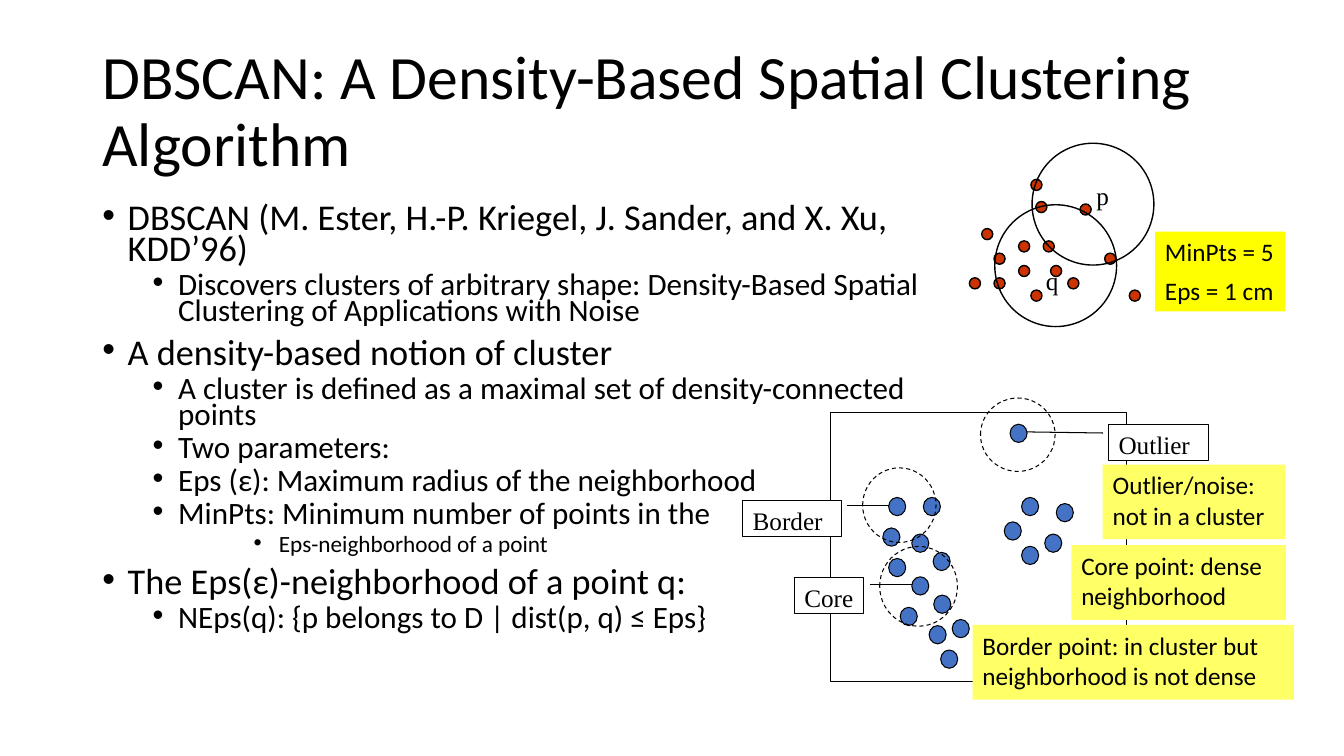
"""Build the DBSCAN slide with its outline and two point diagrams."""
from dataclasses import dataclass
from typing import Any

from lxml import etree
from pptx import Presentation
from pptx.dml.color import RGBColor
from pptx.enum.dml import MSO_LINE
from pptx.enum.shapes import MSO_SHAPE
from pptx.enum.text import MSO_ANCHOR, PP_ALIGN
from pptx.oxml.ns import qn
from pptx.util import Cm, Pt

OVAL = MSO_SHAPE.OVAL
RECT = MSO_SHAPE.RECTANGLE
CALL = MSO_SHAPE.LINE_CALLOUT_1
DASH = MSO_LINE.DASH
TOP, MID = MSO_ANCHOR.TOP, MSO_ANCHOR.MIDDLE
LEFT = PP_ALIGN.LEFT
SANS, SERIF = "Calibri", "Times New Roman"
BLACK, WHITE, RED, BLUE = "000000", "FFFFFF", "CC3300", "4472C4"
YELLOW, PALE = "FFFF00", "FFFF66"


@dataclass
class Box:
    x: float
    y: float
    w: float
    h: float


@dataclass
class Item:
    level: int
    text: str


@dataclass
class Label:
    box: Box
    lines: list[str]
    fill: str
    face: str = SANS
    tail: tuple[float, ...] = ()


@dataclass
class Cloud:
    x: float
    y: float
    dx: float
    dy: float
    w: float
    h: float
    fill: str
    line: float
    spots: list[tuple[float, float]]


@dataclass
class Ring:
    box: Box
    line: float
    dash: Any = None
    kind: Any = OVAL


SIZES = {0: 25.9, 1: 22.2, 3: 16.6}
ITEMS = [
    Item(0, "DBSCAN (M. Ester, H.-P. Kriegel, J. Sander, and X. Xu, KDD’96)"),
    Item(1, "Discovers clusters of arbitrary shape: Density-Based Spatial "
            "Clustering of Applications with Noise"),
    Item(0, "A density-based notion of cluster"),
    Item(1, "A cluster is defined as a maximal set of density-connected points"),
    Item(1, "Two parameters:"),
    Item(1, "Eps (ε): Maximum radius of the neighborhood"),
    Item(1, "MinPts: Minimum number of points in the"),
    Item(3, "Eps-neighborhood of a point"),
    Item(0, "The Eps(ε)-neighborhood of a point q:"),
    Item(1, "NEps(q): {p belongs to D | dist(p, q) ≤ Eps}"),
]
CLOUDS = [
    Cloud(24.43, 4.52, 0.31, 0.31, 0.28, 0.28, RED, 1, [
        (1, 4), (4, 5), (5.4, 1.8), (0, 8), (2, 6), (2, 8), (5, 9), (5, 0),
        (11, 6), (9, 2), (4, 7), (6, 5), (8, 8), (13, 9), (6.6, 7)]),
    Cloud(22.25, 10.69, 4.37 / 30, 5.69 / 37, 0.43, 0.46, BLUE, 0.75, [
        (1, 12), (0, 17), (5, 18), (7, 12), (8.7, 21), (1, 22), (5, 25),
        (3, 30), (8, 33), (10, 37), (8.8, 28), (22, 0), (24, 12), (21, 16),
        (28, 18), (30, 13), (24, 20), (12, 32)]),
]
RINGS = [
    Ring(Box(26.01, 3.61, 3.07, 3.07), 1),
    Ring(Box(25.07, 5.16, 3.07, 3.07), 1),
    Ring(Box(20.93, 10.39, 7.47, 6.78), 0.75, kind=RECT),
    Ring(Box(21.74, 11.79, 1.85, 1.88), 0.75, DASH),
    Ring(Box(22.17, 13.77, 1.96, 2.01), 0.75, DASH),
    Ring(Box(24.71, 10.03, 1.88, 1.85), 0.75, DASH),
]
LABELS = [
    Label(Box(29.11, 5.84, 3.28, 2.01), ["MinPts = 5", "Eps = 1 cm"], YELLOW),
    Label(Box(27.38, 4.42, 1.07, 1.02), ["p"], "", SERIF),
    Label(Box(26.11, 6.55, 1.07, 1.02), ["q"], "", SERIF),
    Label(Box(20.02, 14.55, 1.75, 0.91), ["Core"], WHITE, SERIF,
          (0.188, 1.083, 0.188, 1.688)),
    Label(Box(18.72, 12.62, 2.49, 0.91), ["Border"], WHITE, SERIF,
          (0.145, 1.059, 0.145, 1.485)),
    Label(Box(27.94, 10.69, 2.51, 0.91), ["Outlier"], WHITE, SERIF,
          (0.245, -0.058, 0.214, -0.828)),
    Label(Box(24.51, 15.75, 8.1, 1.88),
          ["Border point: in cluster but neighborhood is not dense"], PALE),
    Label(Box(27.79, 11.71, 4.6, 1.88), ["Outlier/noise: not in a cluster"], PALE),
    Label(Box(27, 13.74, 5.41, 1.88), ["Core point: dense neighborhood"], PALE),
]


def tint(code: str) -> RGBColor:
    return RGBColor.from_string(code)


def apply(part: Any, form: dict[str, Any]) -> None:
    for name, value in form.items():
        setattr(part, name, value)


def place(box: Box) -> tuple[Cm, ...]:
    return tuple(Cm(n) for n in (box.x, box.y, box.w, box.h))


def shape(slide: Any, kind: Any, box: Box, fill: str, line: float,
          dash: Any = None) -> Any:
    item = slide.shapes.add_shape(kind, *place(box))
    item.shadow.inherit = False
    if fill:
        item.fill.solid()
        item.fill.fore_color.rgb = tint(fill)
    else:
        item.fill.background()
    if line:
        item.line.color.rgb = tint(BLACK)
        apply(item.line, {"width": Pt(line), "dash_style": dash})
    else:
        item.line.fill.background()
    return item


def write(para: Any, text: str, size: float, face: str, form: dict[str, Any]) -> None:
    apply(para, {"alignment": LEFT, **form})
    run = para.add_run()
    run.text = text
    apply(run.font, {"size": Pt(size), "name": face})
    run.font.color.rgb = tint(BLACK)


def frame(item: Any, anchor: Any) -> Any:
    body = item.text_frame
    apply(body, {"word_wrap": True, "vertical_anchor": anchor})
    return body


def paras(body: Any, count: int) -> list[Any]:
    return [body.paragraphs[0]] + [body.add_paragraph() for _ in range(count - 1)]


def bullet(para: Any, level: int) -> None:
    props = para._p.get_or_add_pPr()
    props.set("marL", str(Cm(0.64 + 1.27 * level)))
    props.set("indent", str(Cm(-0.64)))
    etree.SubElement(props, qn("a:buFont")).set("typeface", "Arial")
    etree.SubElement(props, qn("a:buChar")).set("char", "•")


def outline(slide: Any) -> None:
    body = frame(slide.shapes.add_textbox(*place(Box(2.33, 5.08, 22.66, 12.09))), TOP)
    for i, (para, item) in enumerate(zip(paras(body, len(ITEMS)), ITEMS)):
        bullet(para, item.level)
        gap = 0 if i == 0 else 5 if item.level else 10
        write(para, item.text, SIZES[item.level], SANS,
              {"level": item.level, "line_spacing": 0.7, "space_before": Pt(gap)})


def label(slide: Any, note: Label) -> None:
    if note.fill:
        item = shape(slide, CALL if note.tail else RECT, note.box, note.fill,
                     0.75 if note.tail else 0)
    else:
        item = slide.shapes.add_textbox(*place(note.box))
    for i, value in enumerate(note.tail):
        item.adjustments[i] = value
    body = frame(item, TOP)
    for i, (para, text) in enumerate(zip(paras(body, len(note.lines)), note.lines)):
        write(para, text, 18, note.face, {"space_before": Pt(6 if i else 0)})


def main() -> None:
    deck = Presentation()
    apply(deck, {"slide_width": Cm(33.87), "slide_height": Cm(19.05)})
    slide = deck.slides.add_slide(deck.slide_layouts[6])
    head = frame(slide.shapes.add_textbox(*place(Box(2.33, 1.01, 29.21, 3.68))), MID)
    write(head.paragraphs[0], "DBSCAN: A Density-Based Spatial Clustering Algorithm",
          44, SANS, {"line_spacing": 0.9})
    outline(slide)
    for cloud in CLOUDS:
        for col, row in cloud.spots:
            box = Box(cloud.x + col * cloud.dx, cloud.y + row * cloud.dy,
                      cloud.w, cloud.h)
            shape(slide, OVAL, box, cloud.fill, cloud.line)
    for ring in RINGS:
        shape(slide, ring.kind, ring.box, "", ring.line, ring.dash)
    for note in LABELS:
        label(slide, note)
    deck.save("out.pptx")


if __name__ == "__main__":
    main()
